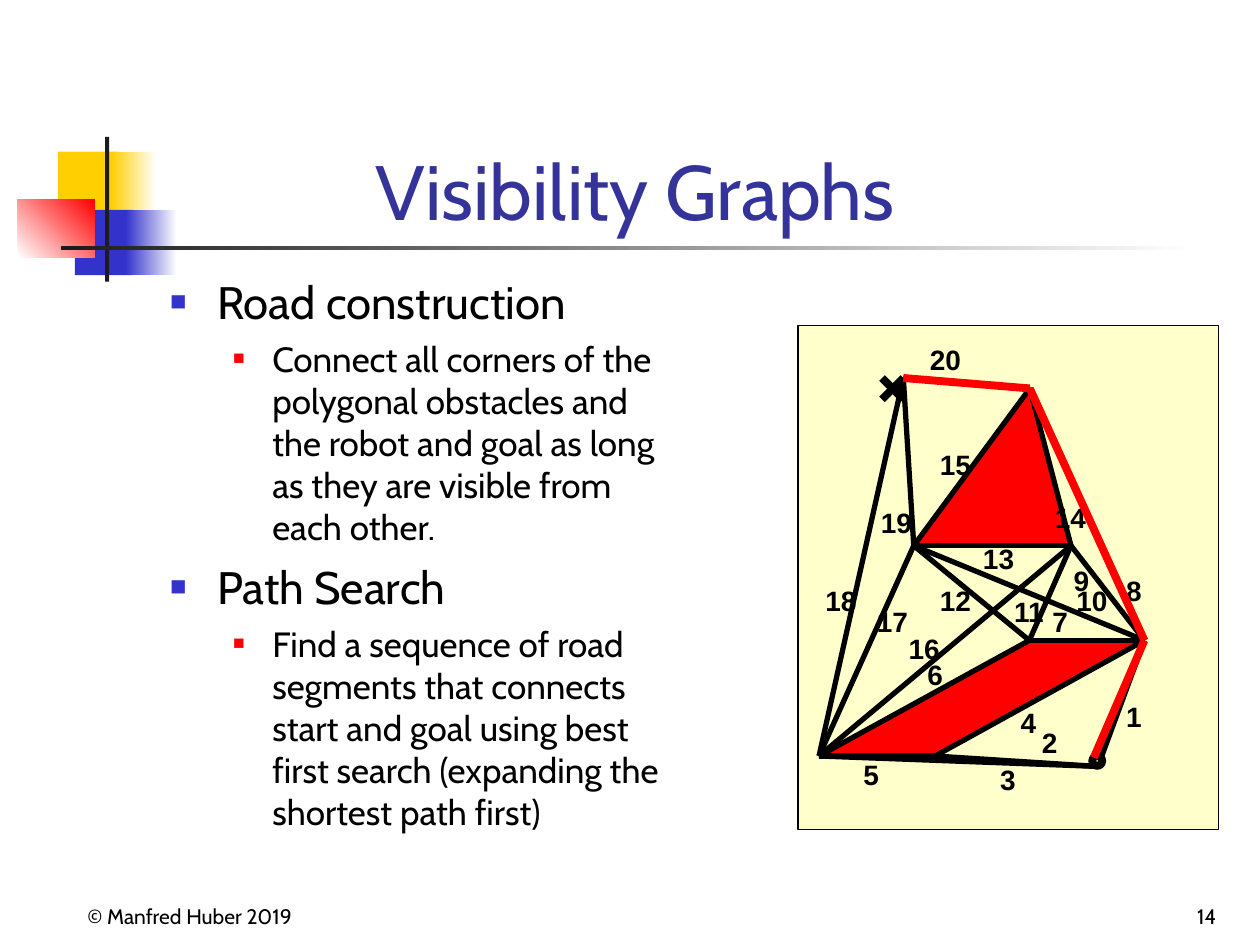
from lxml import etree
from pptx import Presentation
from pptx.dml.color import RGBColor
from pptx.enum.shapes import MSO_CONNECTOR, MSO_SHAPE
from pptx.enum.text import MSO_ANCHOR, MSO_AUTO_SIZE, PP_ALIGN
from pptx.oxml.ns import qn
from pptx.util import Cm, Pt

RECTANGLE = MSO_SHAPE.RECTANGLE
TRIANGLE = MSO_SHAPE.ISOSCELES_TRIANGLE
PARALLELOGRAM = MSO_SHAPE.PARALLELOGRAM
OVAL = MSO_SHAPE.OVAL
STRAIGHT = MSO_CONNECTOR.STRAIGHT
TOP, BOTTOM = MSO_ANCHOR.TOP, MSO_ANCHOR.BOTTOM
LEFT, CENTER, RIGHT = PP_ALIGN.LEFT, PP_ALIGN.CENTER, PP_ALIGN.RIGHT
FIXED_SIZE, FIT_SHAPE = MSO_AUTO_SIZE.NONE, MSO_AUTO_SIZE.SHAPE_TO_FIT_TEXT

COLORS = {
    "yellow": "FFCF01",
    "blue": "3333CC",
    "title": "333399",
    "red": "FF0000",
    "charcoal": "1C1C1C",
    "cream": "FFFFCC",
    "black": "000000",
    "white": "FFFFFF",
}
RGB = {name: RGBColor.from_string(value) for name, value in COLORS.items()}


def add_text(box, text, size, color="black", font="Cabin", bold=False,
             align=LEFT, anchor=TOP, wrap=True):
    shape = slide.shapes.add_textbox(*[Cm(value) for value in box])
    frame = shape.text_frame
    frame.word_wrap = wrap
    frame.auto_size = FIXED_SIZE if wrap else FIT_SHAPE
    frame.vertical_anchor = anchor
    paragraph = frame.paragraphs[0]
    paragraph.text = text
    paragraph.alignment = align
    paragraph.font.size = Pt(size)
    paragraph.font.name = font
    paragraph.font.bold = bold
    paragraph.font.color.rgb = RGB[color]


def add_line(shapes, start, end, color, width):
    line = shapes.add_connector(STRAIGHT, *[Cm(value) for value in start + end])
    line.line.color.rgb = RGB[color]
    line.line.width = Pt(width)
    etree.SubElement(line._element.spPr, qn("a:effectLst"))


presentation = Presentation()
presentation.slide_width = Cm(25.4)
presentation.slide_height = Cm(19.05)
slide = presentation.slides.add_slide(presentation.slide_layouts[6])

decorations = [
    ((1.17, 3.06, 1.22, 1.32), ["yellow"], 0),
    ((2.24, 3.06, 0.91, 1.32), ["yellow", "white"], 0),
    ((1.51, 4.23, 1.17, 1.32), ["blue"], 0),
    ((2.54, 4.23, 1.02, 1.32), ["blue", "white"], 0),
    ((0.36, 4.02, 1.55, 1.17), ["white", "red"], 45),
    ((2.12, 2.76, 0.08, 2.92), ["charcoal"], 0),
    ((1.23, 4.95, 22.86, 0.09), ["charcoal", "white"], 0),
]
for box, fills, angle in decorations:
    shape = slide.shapes.add_shape(RECTANGLE, *[Cm(value) for value in box])
    shape.shadow.inherit = False
    shape.line.fill.background()
    if len(fills) == 1:
        shape.fill.solid()
        shape.fill.fore_color.rgb = RGB[fills[0]]
    else:
        shape.fill.gradient()
        shape.fill.gradient_angle = angle
        for stop, name in zip(shape.fill.gradient_stops, fills):
            stop.color.rgb = RGB[name]

add_text((0.85, 17.57, 5.29, 1.27), "© Manfred Huber 2019", 12, align=RIGHT, anchor=BOTTOM)
add_text((18.84, 17.57, 5.93, 1.27), "14", 12, align=RIGHT, anchor=BOTTOM)
add_text((3.6, 1.7, 18.42, 3.18), "Visibility Graphs", 44, "title", align=CENTER, anchor=BOTTOM)

outline = [
    (0, "Road construction"),
    (1, "Connect all corners of the polygonal obstacles and the robot and goal "
        "as long as they are visible from each other."),
    (0, "Path Search"),
    (1, "Find a sequence of road segments that connects start and goal using "
        "best first search (expanding the shortest path first)"),
]
level_styles = [
    (0.95, 0.95, "blue", 60, 26, 6.5),
    (2.06, 0.79, "red", 55, 20, 5),
]
body = slide.shapes.add_textbox(Cm(3.18), Cm(5.4), Cm(10.59), Cm(12.6)).text_frame
body.word_wrap = True
for index, (level, text) in enumerate(outline):
    margin, hanging, bullet_color, percent, size, space = level_styles[level]
    paragraph = body.add_paragraph() if index else body.paragraphs[0]
    paragraph.text = text
    paragraph.level = level
    properties = paragraph._p.get_or_add_pPr()
    properties.set("marL", str(Cm(margin)))
    properties.set("indent", str(-Cm(hanging)))
    color = etree.SubElement(properties, qn("a:buClr"))
    etree.SubElement(color, qn("a:srgbClr"), val=COLORS[bullet_color])
    etree.SubElement(properties, qn("a:buSzPct"), val=str(percent * 1000))
    etree.SubElement(properties, qn("a:buFont"), typeface="Arial")
    etree.SubElement(properties, qn("a:buChar"), char="■")
    paragraph.line_spacing = 1.0
    paragraph.space_before = Pt(space if index else 0)
    paragraph.font.size = Pt(size)
    paragraph.font.name = "Cabin"
    paragraph.font.color.rgb = RGB["black"]

world = slide.shapes.add_group_shape().shapes
world_shapes = [
    (RECTANGLE, (16.09, 6.56, 8.47, 10.16), "cream", 0.75, None),
    (TRIANGLE, (18.42, 7.82, 3.18, 3.18), "red", 0.75, 0.743),
    (PARALLELOGRAM, (16.51, 12.91, 6.56, 2.33), "red", 0.75, 1.826),
    (OVAL, (22.02, 15.24, 0.2, 0.2), "cream", 4.5, None),
]
for preset, box, fill, width, adjustment in world_shapes:
    shape = world.add_shape(preset, *[Cm(value) for value in box])
    shape.shadow.inherit = False
    shape.fill.solid()
    shape.fill.fore_color.rgb = RGB[fill]
    shape.line.color.rgb = RGB["black"]
    shape.line.width = Pt(width)
    if adjustment is not None:
        shape.adjustments[0] = adjustment
add_line(world, (17.78, 7.62), (18.21, 8.05), "black", 4.5)
add_line(world, (18.21, 7.62), (17.78, 8.05), "black", 4.5)

goal = (18.21, 7.62)
robot = (22.12, 15.45)
robot_right = (22.2, 15.27)
robot_top = (22.05, 15.27)
apex = (20.76, 7.83)
triangle_left, triangle_right = (18.42, 11), (21.59, 11)
upper_left, upper_right = (20.75, 12.91), (23.07, 12.91)
lower_left, lower_right = (16.51, 15.24), (18.85, 15.24)

roads = [
    (robot_right, upper_right), (robot, lower_right),
    (upper_right, lower_right), (lower_left, lower_right),
    (lower_left, upper_left), (upper_right, upper_left),
    (triangle_right, upper_right), (apex, upper_right),
    (triangle_left, upper_right), (triangle_left, upper_left),
    (upper_left, triangle_right), (triangle_left, triangle_right),
    (apex, triangle_right), (apex, triangle_left),
    (triangle_left, lower_left), (triangle_right, lower_left),
    (goal, lower_left), (goal, triangle_left),
    (goal, apex), (robot, lower_left),
]
for start, end in roads:
    add_line(slide.shapes, start, end, "black", 3)

label_positions = [
    (22.45, 13.97), (20.75, 14.5), (19.91, 15.24), (20.32, 14.1), (17.15, 15.14),
    (18.44, 13.13), (20.96, 12.07), (22.45, 11.43), (21.39, 11.23), (21.44, 11.63),
    (20.17, 11.86), (18.69, 11.63), (19.56, 10.8), (21.01, 9.96), (18.69, 8.89),
    (18.06, 12.6), (17.42, 12.07), (16.38, 11.63), (17.5, 10.06), (18.49, 6.78),
]
for number, (left, top) in enumerate(label_positions, 1):
    width = 0.82 if number < 10 else 1.14
    add_text((left, top, width, 0.94), str(number), 16, font="Arial", bold=True,
             align=CENTER, wrap=False)

shortest_path = [robot_top, upper_right, apex, goal]
for start, end in zip(shortest_path, shortest_path[1:]):
    add_line(slide.shapes, start, end, "red", 4.5)

presentation.save("out.pptx")
